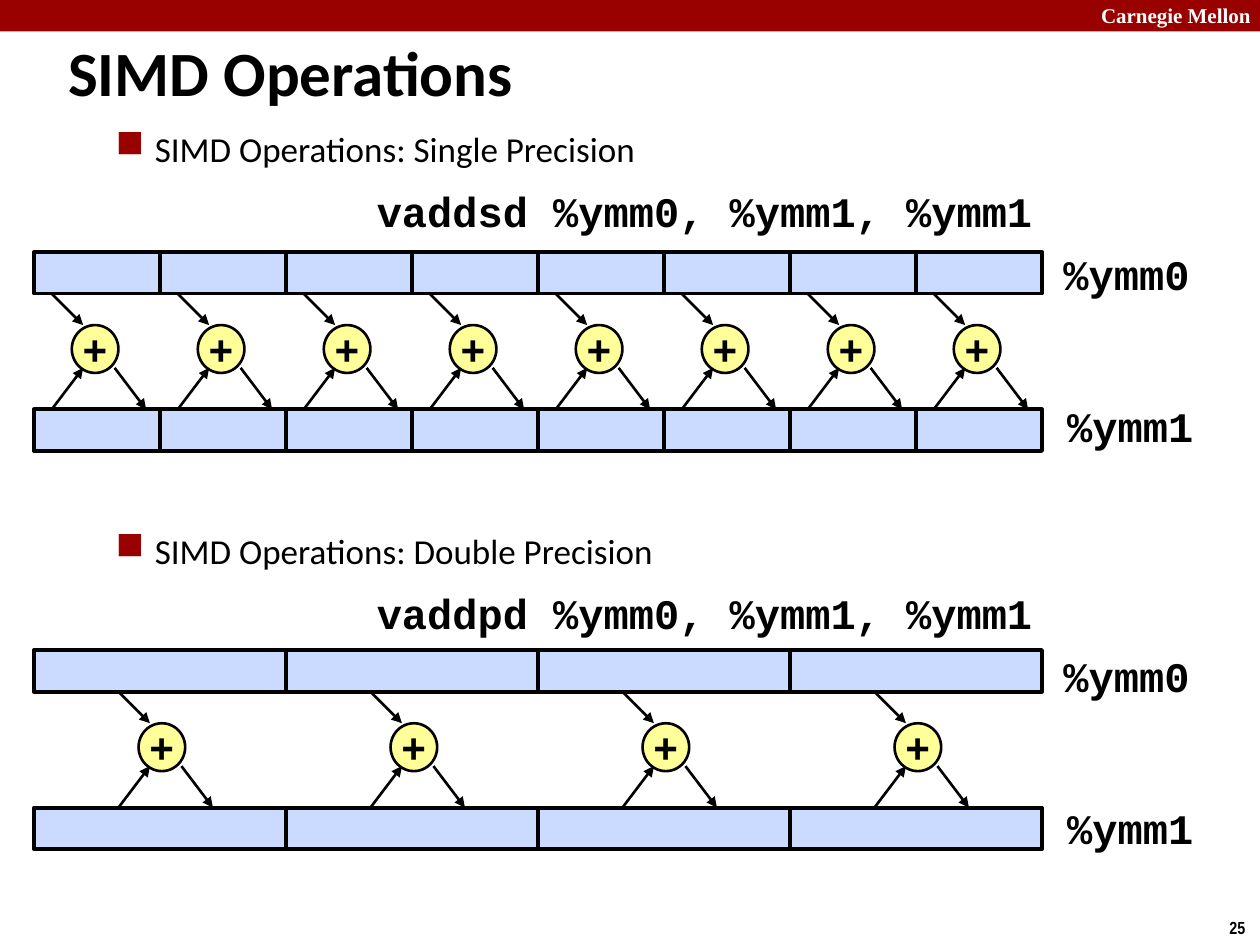
from lxml import etree
from pptx import Presentation
from pptx.dml.color import RGBColor
from pptx.enum.shapes import MSO_CONNECTOR, MSO_SHAPE
from pptx.enum.text import MSO_ANCHOR, PP_ALIGN
from pptx.oxml.ns import qn
from pptx.util import Inches, Pt

RECTANGLE = MSO_SHAPE.RECTANGLE
OVAL = MSO_SHAPE.OVAL
STRAIGHT = MSO_CONNECTOR.STRAIGHT
MIDDLE = MSO_ANCHOR.MIDDLE
LEFT = PP_ALIGN.LEFT
CENTER = PP_ALIGN.CENTER

COLORS = {
    "banner": "990000",
    "lane": "CBDBFF",
    "adder": "FFFF99",
    "ink": "000000",
    "paper": "FFFFFF",
}
REGISTER_LEFT = 0.27
REGISTER_WIDTH = 8
LANE_HEIGHT = 0.33
RESULT_DROP = 1.25


def rgb(name):
    """Return the named colour."""
    return RGBColor.from_string(COLORS[name])


def write(holder, text, size, font, color="ink", bold=True, align=LEFT,
          margin=None, wrap=False, anchor=None, indent=None, bullet=None):
    """Put one formatted paragraph into a shape."""
    frame = holder.text_frame
    frame.text = text
    frame.word_wrap = wrap
    if anchor is not None:
        frame.vertical_anchor = anchor
    if margin is not None:
        frame.margin_left = frame.margin_right = Inches(margin)
        frame.margin_top = frame.margin_bottom = Inches(margin)
    paragraph = frame.paragraphs[0]
    paragraph.alignment = align
    properties = paragraph._p.get_or_add_pPr()
    if indent is not None:
        hang, first = indent
        properties.set("marL", str(Inches(hang)))
        properties.set("indent", str(Inches(first)))
    if bullet:
        bullet_color = etree.SubElement(properties, qn("a:buClr"))
        etree.SubElement(bullet_color, qn("a:srgbClr"), val=COLORS["banner"])
        etree.SubElement(properties, qn("a:buSzPct"), val="110000")
        etree.SubElement(properties, qn("a:buChar"), char=bullet)
    paragraph.font.size = Pt(size)
    paragraph.font.name = font
    paragraph.font.bold = bold
    paragraph.font.color.rgb = rgb(color)


def add_label(shapes, box, text, size, font, **style):
    """Add a text box at left, top, width, height."""
    label = shapes.add_textbox(*map(Inches, box))
    write(label, text, size, font, **style)


def add_code(shapes, box, text):
    """Add a line of assembly code."""
    add_label(shapes, box, text, 24, "Courier New", margin=0.05)


def add_block(shapes, kind, box, fill, line_width=None):
    """Add a filled shape, outlined when a line width is given."""
    block = shapes.add_shape(kind, *map(Inches, box))
    block.shadow.inherit = False
    block.fill.solid()
    block.fill.fore_color.rgb = rgb(fill)
    if line_width:
        block.line.color.rgb = rgb("ink")
        block.line.width = Pt(line_width)
    else:
        block.line.fill.background()
    return block


def add_arrow(shapes, start, end):
    """Add a straight arrow between two points."""
    arrow = shapes.add_connector(STRAIGHT, *map(Inches, start + end))
    arrow.line.color.rgb = rgb("ink")
    arrow.line.width = Pt(1.5)
    etree.SubElement(arrow.line._get_or_add_ln(), qn("a:tailEnd"), type="triangle")
    etree.SubElement(arrow._element.spPr, qn("a:effectLst"))


def add_register(shapes, top, lanes):
    """Add a register split into equal lanes."""
    width = REGISTER_WIDTH / lanes
    for lane in range(lanes):
        box = (REGISTER_LEFT + lane * width, top, width, LANE_HEIGHT)
        add_block(shapes, RECTANGLE, box, "lane", 2.25)


def add_adder(shapes, left, top):
    """Add a plus circle with its two operand arrows and its result arrow."""
    adder = add_block(shapes, OVAL, (left + 0.16, top + 0.58, 0.37, 0.38), "adder", 1.5)
    write(adder, "+", 24, "Courier New", align=CENTER, margin=0.05, anchor=MIDDLE)
    source, result = top + LANE_HEIGHT, top + RESULT_DROP
    add_arrow(shapes, (left, source), (left + 0.25, top + 0.58))
    add_arrow(shapes, (left, result), (left + 0.25, top + 0.92))
    add_arrow(shapes, (left + 0.5, top + 0.92), (left + 0.75, result))


def add_operation(slide, heading, command, lanes, text_top, register_top, inset):
    """Add one SIMD operation: heading, command, registers and adders."""
    add_label(slide.shapes, (0.32, text_top, 9.09, 0.44), heading, 20, "Calibri",
              bold=False, wrap=True, indent=(0.81, -0.31), bullet="■")
    diagram = slide.shapes.add_group_shape().shapes
    add_code(diagram, (2.94, text_top + 0.46, 5.35, 0.5), command)
    add_code(diagram, (8.39, text_top + 0.96, 1.11, 0.5), "%ymm0")
    add_code(diagram, (8.42, text_top + 2.17, 1.11, 0.5), "%ymm1")
    for top in (register_top, register_top + RESULT_DROP):
        add_register(diagram, top, lanes)
    for lane in range(lanes):
        left = REGISTER_LEFT + lane * REGISTER_WIDTH / lanes + inset
        add_adder(diagram, left, register_top)


def main():
    """Build the SIMD operations slide."""
    deck = Presentation()
    deck.slide_width, deck.slide_height = Inches(10), Inches(7.5)
    slide = deck.slides.add_slide(deck.slide_layouts[5])

    add_block(slide.shapes, RECTANGLE, (0, 0, 10, 0.25), "banner")
    add_label(slide.shapes, (8.64, -0.03, 1.43, 0.3), "Carnegie Mellon", 12,
              "Times New Roman", color="paper")
    add_label(slide.shapes, (9.66, 7.23, 0.34, 0.27), "25", 10, "Arial Narrow")

    title = slide.shapes.title
    title.left, title.top = Inches(0.44), Inches(0.14)
    title.width, title.height = Inches(9.53), Inches(0.85)
    write(title, "SIMD Operations", 36, "Calibri", wrap=True, anchor=MIDDLE,
          indent=(0.13, -0.13))

    add_operation(slide, "SIMD Operations: Single Precision",
                  "vaddsd %ymm0, %ymm1, %ymm1", lanes=8,
                  text_top=0.96, register_top=2, inset=0.14)
    add_operation(slide, "SIMD Operations: Double Precision",
                  "vaddpd %ymm0, %ymm1, %ymm1", lanes=4,
                  text_top=4.15, register_top=5.16, inset=0.67)
    deck.save("out.pptx")


if __name__ == "__main__":
    main()
